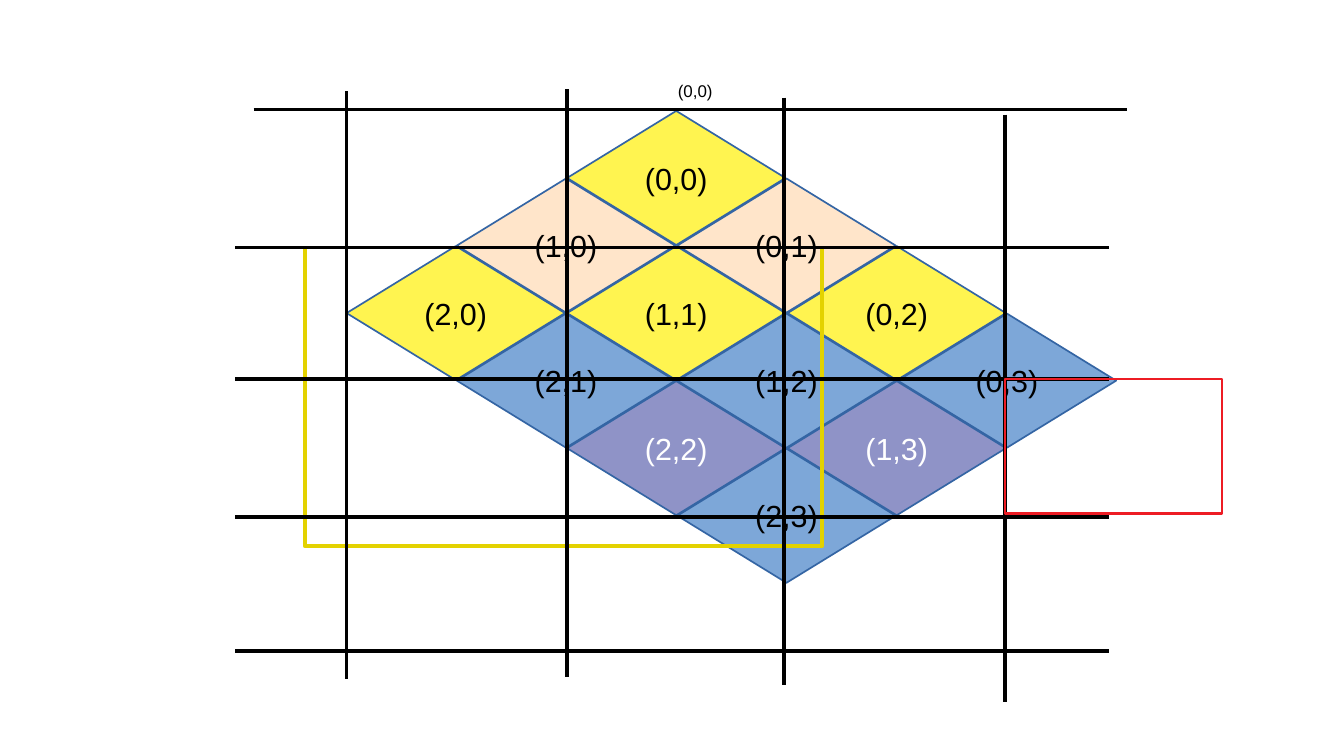
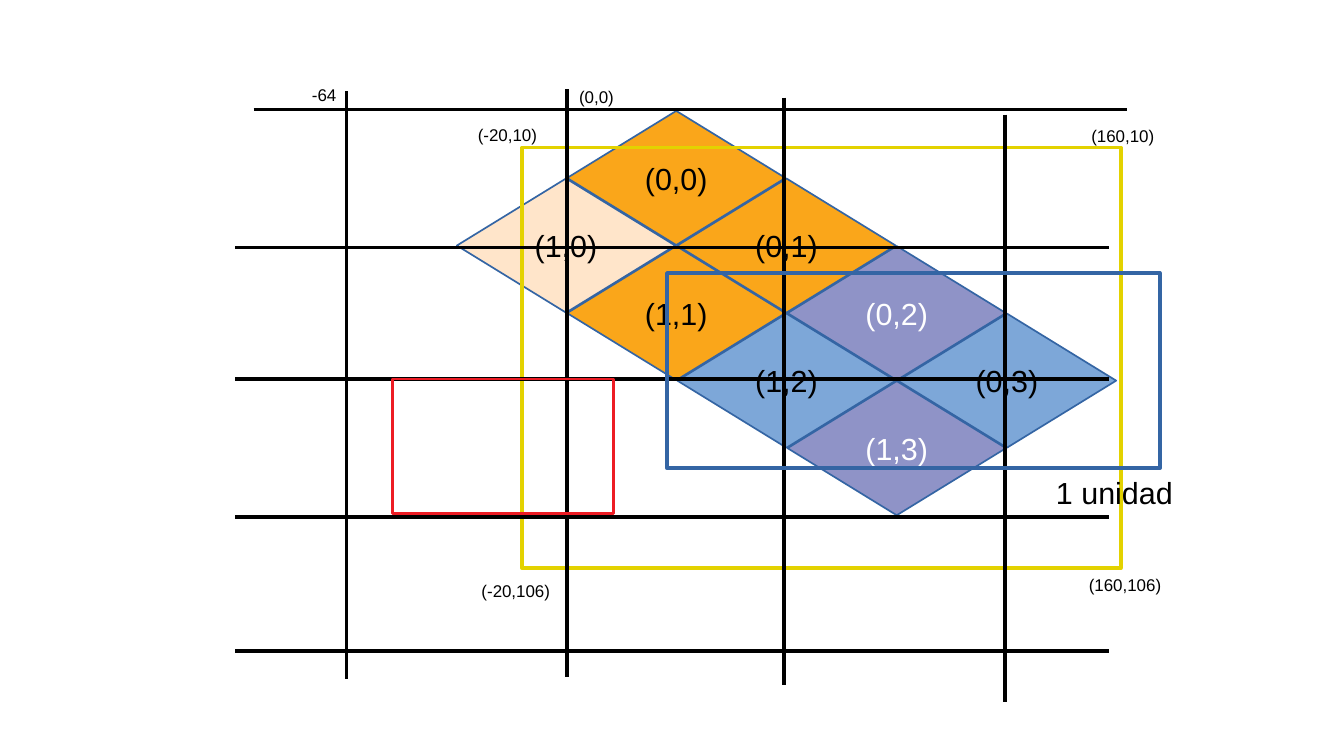
from pptx import Presentation
from pptx.util import Inches, Pt
from pptx.dml.color import RGBColor
from pptx.enum.shapes import MSO_SHAPE as SHAPE, MSO_CONNECTOR as LINK
from pptx.enum.text import MSO_ANCHOR as ANCHOR, MSO_AUTO_SIZE as AUTO, PP_ALIGN as ALIGN
from pptx.oxml.ns import qn
from lxml import etree

# Shared palette and tile geometry
BLACK, WHITE = "000000", "FFFFFF"
PEACH, YELLOW, ORANGE = "FFE5CA", "FFF450", "FAA61A"
SKY, PURPLE = "7DA7D8", "8F93C7"
BLUE, GOLD, RED = "3465A4", "E3D200", "ED1C24"
TOP_X, TOP_Y = 4.65, 0.91
STEP_X, STEP_Y = 4.52 / 5, 2.77 / 5
TILE_W, TILE_H = 1.79, 1.1

# Grid lines: x with its top, y with its left
COLS = [(4.65, 0.73), (6.43, 0.8), (8.24, 0.94), (2.84, 0.75)]
ROWS = [(0.9, 2.08), (2.03, 1.93), (3.11, 1.93), (4.24, 1.93), (5.34, 1.93)]
COL_H, ROW_W = 4.82, 7.16
GRID = [(x, y, x, y + COL_H) for x, y in COLS]
GRID += [(x, y, x + ROW_W, y) for y, x in ROWS]

# Content of each slide: tiles are (row, column), boxes are left, top, width, height
SLIDES = [
    {
        "tiles": {
            PEACH: [(1, 0), (0, 1)],
            YELLOW: [(0, 0), (1, 1), (0, 2), (2, 0)],
            SKY: [(1, 2), (2, 1), (0, 3), (2, 3)],
            PURPLE: [(2, 2), (1, 3)],
        },
        "under": [((2.5, 2.03, 4.24, 2.45), GOLD, 2.3)],
        "notes": [("(0,0)", (5.46, 0.61, 0.6, 0.25), 10)],
        "over": [((8.24, 3.11, 1.78, 1.1), RED, 1.5)],
    },
    {
        "tiles": {
            PEACH: [(1, 0)],
            ORANGE: [(0, 0), (1, 1), (0, 1)],
            SKY: [(1, 2), (0, 3)],
            PURPLE: [(0, 2), (1, 3)],
        },
        "under": [((4.28, 1.21, 4.91, 3.45), GOLD, 2.3)],
        "notes": [
            ("(0,0)", (4.65, 0.66, 0.6, 0.25), 10),
            ("1 unidad", (8.56, 3.84, 1.16, 0.38), 18),
            ("(-20,10)", (3.82, 0.97, 0.74, 0.41), 10),
            ("-64", (2.46, 0.64, 0.6, 0.25), 10),
            ("(-20,106)", (3.85, 4.71, 0.8, 0.41), 10),
            ("(160,10)", (8.85, 0.98, 1.02, 0.41), 10),
            ("(160,106)", (8.83, 4.66, 0.8, 0.41), 10),
        ],
        "over": [
            ((3.22, 3.11, 1.81, 1.1), RED, 1.5),
            ((5.47, 2.24, 4.04, 1.6), BLUE, 2.3),
        ],
    },
]


def paint(part, color):
    if hasattr(part, "solid"):
        part.solid()
        part.fore_color.rgb = RGBColor.from_string(color)
    else:
        part.color.rgb = RGBColor.from_string(color)


def draw(slide, kind, box, fill, line, width):
    shape = slide.shapes.add_shape(kind, *map(Inches, box))
    shape.shadow.inherit = False
    if fill:
        paint(shape.fill, fill)
    else:
        shape.fill.background()
    paint(shape.line, line)
    shape.line.width = Pt(width)
    return shape


deck = Presentation()
deck.slide_width, deck.slide_height = Inches(11.02), Inches(6.2)

for plan in SLIDES:
    slide = deck.slides.add_slide(deck.slide_layouts[6])

    # Diamond tiles
    for fill, cells in plan["tiles"].items():
        for row, col in cells:
            x = TOP_X + (col - row) * STEP_X
            y = TOP_Y + (col + row) * STEP_Y
            tile = draw(slide, SHAPE.DIAMOND, (x, y, TILE_W, TILE_H), fill, BLUE, 1)
            frame = tile.text_frame
            frame.text = f"({row},{col})"
            frame.word_wrap = False
            frame.vertical_anchor = ANCHOR.MIDDLE
            frame.margin_left = frame.margin_right = Inches(0.11)
            frame.margin_top = frame.margin_bottom = Inches(0.06)
            para = frame.paragraphs[0]
            para.alignment = ALIGN.CENTER
            font = para.runs[0].font
            font.name, font.size = "Arial", Pt(18)
            paint(font, WHITE if fill == PURPLE else BLACK)

    # View frame below the grid
    for box, color, width in plan["under"]:
        draw(slide, SHAPE.RECTANGLE, box, None, color, width)

    # Grid lines
    for ends in GRID:
        rule = slide.shapes.add_connector(LINK.STRAIGHT, *map(Inches, ends))
        paint(rule.line, BLACK)
        rule.line.width = Pt(0)
        etree.SubElement(rule._element.spPr, qn("a:effectLst"))

    # Coordinate labels
    for text, box, size in plan["notes"]:
        frame = slide.shapes.add_textbox(*map(Inches, box)).text_frame
        frame.text = text
        frame.word_wrap = size == 10
        frame.auto_size = AUTO.SHAPE_TO_FIT_TEXT
        font = frame.paragraphs[0].runs[0].font
        font.name, font.size = "Arial", Pt(size)
        paint(font, BLACK)

    # Frames above the grid
    for box, color, width in plan["over"]:
        draw(slide, SHAPE.RECTANGLE, box, None, color, width)

deck.save("out.pptx")
